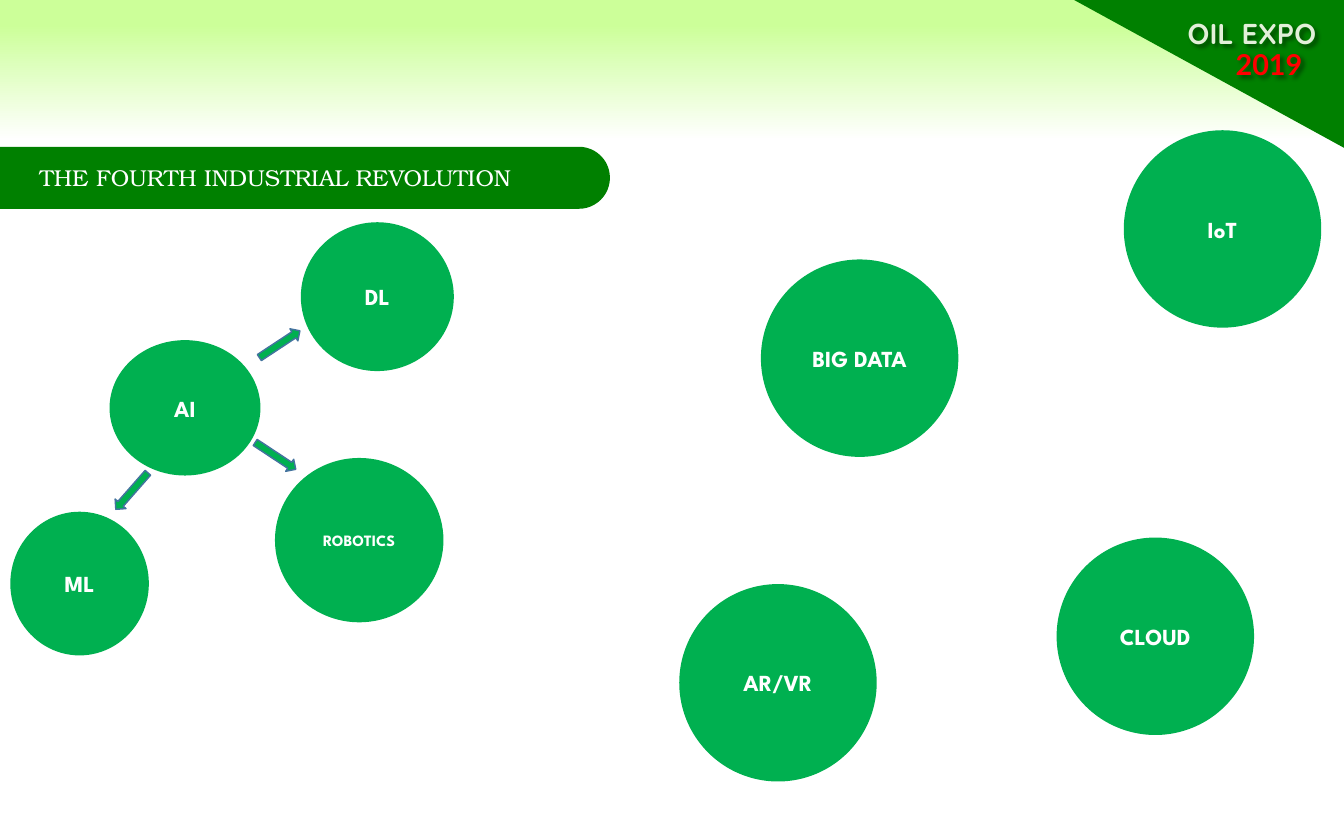
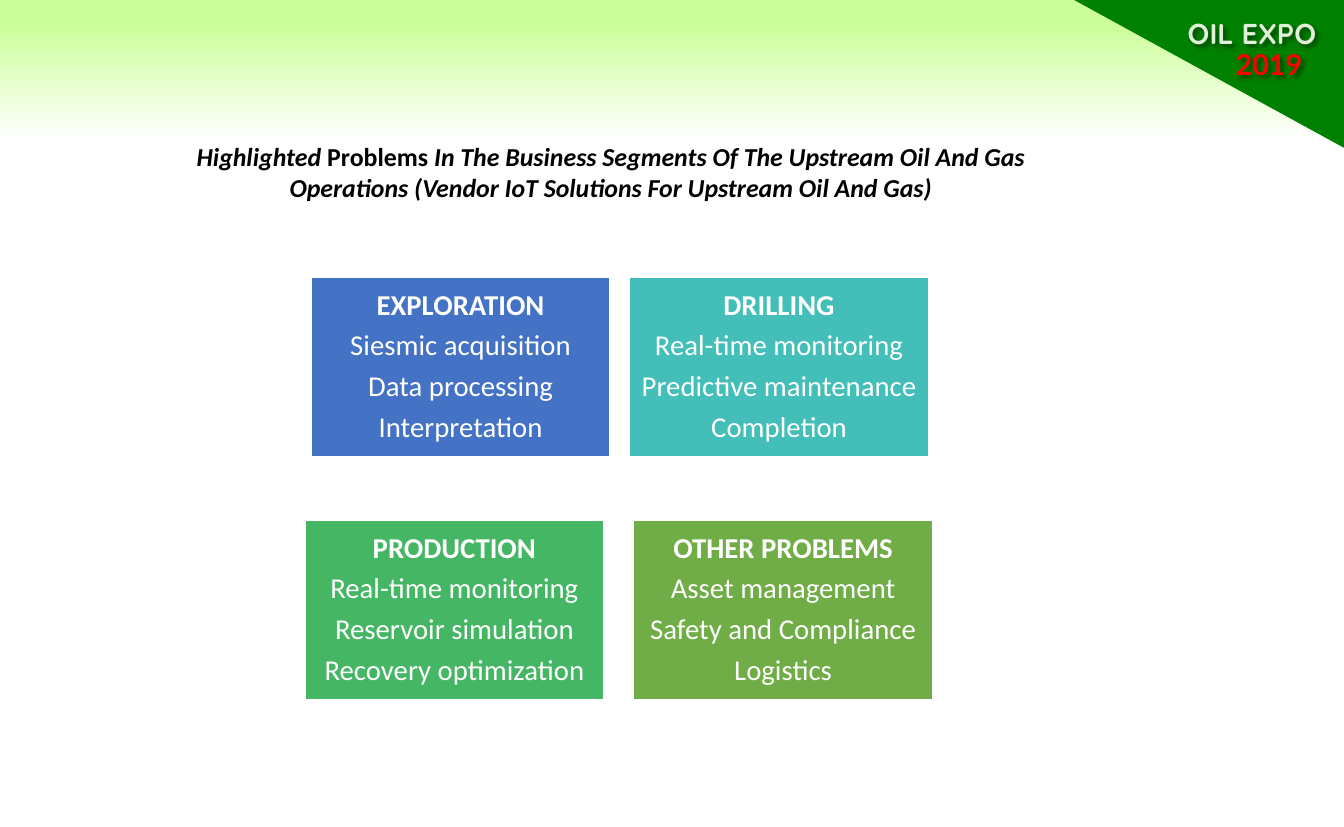
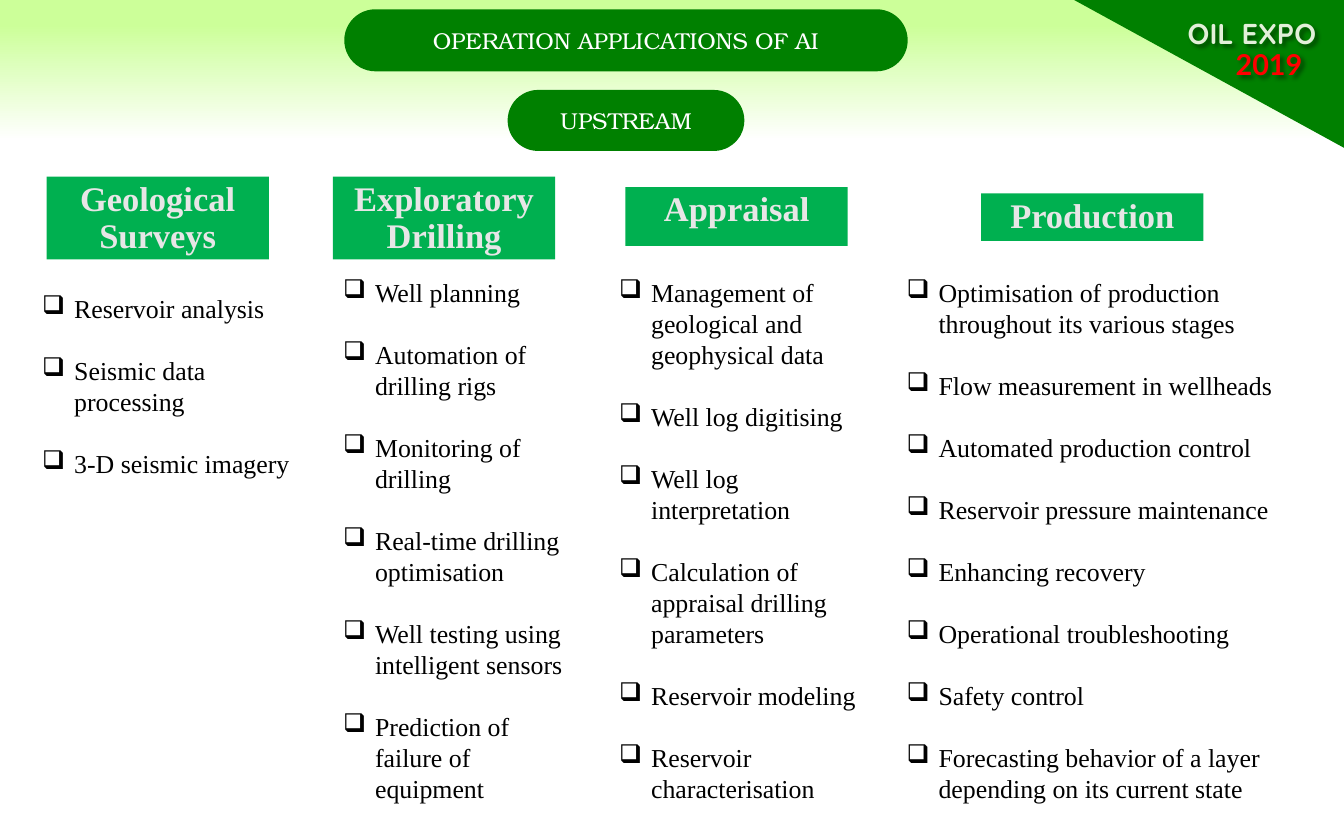
from lxml import etree
from pptx import Presentation
from pptx.dml.color import RGBColor
from pptx.enum.shapes import MSO_SHAPE
from pptx.enum.text import MSO_ANCHOR, PP_ALIGN
from pptx.oxml.ns import qn
from pptx.util import Inches, Pt

OVAL = MSO_SHAPE.OVAL
PILL = MSO_SHAPE.ROUNDED_RECTANGLE
RECTANGLE = MSO_SHAPE.RECTANGLE
ARROW = MSO_SHAPE.RIGHT_ARROW
CORNER = MSO_SHAPE.RIGHT_TRIANGLE
CENTER, LEFT = PP_ALIGN.CENTER, PP_ALIGN.LEFT
TOP, MIDDLE = MSO_ANCHOR.TOP, MSO_ANCHOR.MIDDLE

WHITE = RGBColor(0xFF, 0xFF, 0xFF)
BLACK = RGBColor(0x00, 0x00, 0x00)
RED = RGBColor(0xFF, 0x00, 0x00)
LIME = RGBColor(0xCC, 0xFF, 0x99)
DARK_GREEN = RGBColor(0x00, 0x80, 0x00)
GREEN = RGBColor(0x00, 0xB0, 0x50)
PALE_GREEN = RGBColor(0xE2, 0xF0, 0xD9)
PALE_GRAY = RGBColor(0xE7, 0xE6, 0xE6)
STEEL = RGBColor(0x43, 0x73, 0x9E)
BLUE = RGBColor(0x44, 0x72, 0xC4)
TEAL = RGBColor(0x43, 0xBE, 0xB9)
EMERALD = RGBColor(0x45, 0xB6, 0x64)
OLIVE = RGBColor(0x70, 0xAD, 0x47)

SERIF = "Times New Roman"


def add_block(slide, kind, box, fill, line=None):
    block = slide.shapes.add_shape(kind, *map(Inches, box))
    block.shadow.inherit = False
    block.fill.solid()
    block.fill.fore_color.rgb = fill
    if line is None:
        block.line.fill.background()
    else:
        block.line.color.rgb = line
        block.line.width = Pt(1)
    return block


def write(shape, lines, size, font, color, bold=False, align=CENTER,
          anchor=MIDDLE, inset=None, wrap=True):
    """Fill a shape with one formatted paragraph per line and return the paragraphs."""
    frame = shape.text_frame
    frame.word_wrap = wrap
    frame.vertical_anchor = anchor
    if inset is not None:
        frame.margin_left = frame.margin_right = Inches(inset)
        frame.margin_top = frame.margin_bottom = Inches(inset)
    for index, line in enumerate(lines):
        paragraph = frame.add_paragraph() if index else frame.paragraphs[0]
        paragraph.text = line
        paragraph.alignment = align
        for run in paragraph.runs:
            run.font.size = Pt(size)
            run.font.name = font
            run.font.bold = bold
            run.font.color.rgb = color
    return frame.paragraphs


prs = Presentation()
prs.slide_width, prs.slide_height = Inches(13), Inches(8)

# Shared background, corner and event label
backdrop = prs.slide_master.background.fill
backdrop.gradient()
backdrop.gradient_angle = 270
for stop, (position, color) in zip(backdrop.gradient_stops, [(0.03, LIME), (0.17, WHITE)]):
    stop.position = position
    stop.color.rgb = color

EVENT_LABEL = [
    ("OIL EXPO", (11.35, 0.15, 1.52, 0.34), "Quicksand", PALE_GREEN, 0),
    ("2019", (11.44, 0.4, 1.67, 0.44), "Lato", RED, None),
]
slides = [prs.slides.add_slide(prs.slide_layouts[6]) for _ in range(3)]
for slide in slides:
    add_block(slide, CORNER, (10.39, 0, 2.61, 1.43), DARK_GREEN).rotation = 180
    for text, box, font, color, inset in EVENT_LABEL:
        label = slide.shapes.add_textbox(*map(Inches, box))
        write(label, [text], 20, font, color, True, anchor=TOP, inset=inset)
        effects = etree.SubElement(label._element.spPr, qn("a:effectLst"))
        shadow = etree.SubElement(effects, qn("a:outerShdw"), blurRad="38100",
                                  dist="38100", dir="2700000")
        shade = etree.SubElement(shadow, qn("a:srgbClr"), val="000000")
        etree.SubElement(shade, qn("a:alpha"), val="43000")

revolution, problems, applications = slides

# Title bands
BANDS = [
    (revolution, "THE FOURTH INDUSTRIAL REVOLUTION", (-0.57, 1.42, 6.47, 0.6)),
    (applications, "UPSTREAM", (4.91, 0.87, 2.29, 0.59)),
    (applications, "OPERATION APPLICATIONS OF AI", (3.33, 0.09, 5.45, 0.6)),
]
for slide, text, box in BANDS:
    band = add_block(slide, PILL, box, DARK_GREEN)
    band.adjustments[0] = 0.5
    write(band, [text], 16, "TeX Gyre Bonum", WHITE, inset=0.1, wrap=False)

# Slide 1: technologies
TECHNOLOGIES = [
    ("IoT", 10.87, 1.26, 1.91, 1.91, 16),
    ("BIG DATA", 7.36, 2.51, 1.91, 1.91, 16),
    ("AI", 1.06, 3.29, 1.46, 1.31, 16),
    ("CLOUD", 10.22, 5.2, 1.91, 1.91, 16),
    ("AR/VR", 6.57, 5.65, 1.91, 1.91, 16),
    ("ML", 0.1, 4.95, 1.34, 1.39, 16),
    ("DL", 2.91, 2.15, 1.48, 1.44, 16),
    ("ROBOTICS", 2.66, 4.43, 1.63, 1.59, 11),
]
for text, *box, size in TECHNOLOGIES:
    circle = add_block(revolution, OVAL, box, GREEN)
    write(circle, [text], size, "League Spartan", WHITE, True, inset=0.13)

for left, top, angle in [(2.43, 4.34, 33.5), (1.04, 4.68, 131.3), (2.47, 3.26, 326.6)]:
    add_block(revolution, ARROW, (left, top, 0.47, 0.14), GREEN, STEEL).rotation = angle

# Slide 2: problems by business segment
SEGMENTS = [
    (3.01, 2.68, BLUE, ["EXPLORATION", "Siesmic acquisition", "Data processing",
                        "Interpretation"]),
    (6.09, 2.68, TEAL, ["DRILLING", "Real-time monitoring", "Predictive maintenance",
                        "Completion"]),
    (2.95, 5.03, EMERALD, ["PRODUCTION", "Real-time monitoring", "Reservoir simulation",
                           "Recovery optimization"]),
    (6.13, 5.03, OLIVE, ["OTHER PROBLEMS", "Asset management", "Safety and Compliance",
                         "Logistics"]),
]
for left, top, color, lines in SEGMENTS:
    segment = add_block(problems, RECTANGLE, (left, top, 2.89, 1.74), color, WHITE)
    paragraphs = write(segment, lines, 20, "Calibri", WHITE, inset=0.08)
    paragraphs[0].runs[0].font.bold = True
    for paragraph in paragraphs:
        paragraph.line_spacing = 0.9
        paragraph.space_after = Pt(6.8)

heading = problems.shapes.add_textbox(Inches(1.58), Inches(1.31), Inches(8.66), Inches(0.71))
heading.text_frame.word_wrap = True
sentence = heading.text_frame.paragraphs[0]
sentence.alignment = CENTER
for text, italic in [
    ("Highlighted ", True),
    ("Problems", False),
    (" In The Business Segments Of The Upstream Oil And Gas Operations "
     "(Vendor IoT Solutions For Upstream Oil And Gas)", True),
]:
    run = sentence.add_run()
    run.text = text
    run.font.size = Pt(18)
    run.font.name = "Calibri"
    run.font.bold = True
    run.font.italic = italic
    run.font.color.rgb = BLACK

# Slide 3: applications by stage
STAGES = [
    ("Geological Surveys", (0.45, 1.71, 2.15, 0.8), (0.31, 2.78, 2.82, 2.22), [
        "Reservoir analysis", "Seismic data\nprocessing", "3-D seismic imagery"]),
    ("Exploratory Drilling", (3.22, 1.71, 2.15, 0.8), (3.22, 2.63, 3.04, 5.3), [
        "Well planning", "Automation of\ndrilling rigs", "Monitoring of\ndrilling",
        "Real-time drilling\noptimisation", "Well testing using\nintelligent sensors",
        "Prediction of\nfailure of\nequipment"]),
    ("Appraisal", (6.05, 1.81, 2.15, 0.57), (5.89, 2.63, 2.93, 5.3), [
        "Management of\ngeological and\ngeophysical data", "Well log digitising",
        "Well log\ninterpretation", "Calculation of\nappraisal drilling\nparameters",
        "Reservoir modeling", "Reservoir\ncharacterisation"]),
    ("Production", (9.49, 1.87, 2.15, 0.46), (8.67, 2.63, 4.19, 5.3), [
        "Optimisation of production\nthroughout its various stages",
        "Flow measurement in wellheads", "Automated production control",
        "Reservoir pressure maintenance", "Enhancing recovery",
        "Operational troubleshooting", "Safety control",
        "Forecasting behavior of a layer depending on its current state"]),
]
for stage, header_box, list_box, items in STAGES:
    header = add_block(applications, RECTANGLE, header_box, GREEN)
    write(header, [stage], 24, SERIF, PALE_GRAY, True, anchor=TOP)[0].line_spacing = 0.9

    uses = applications.shapes.add_textbox(*map(Inches, list_box))
    for paragraph in write(uses, items, 18, SERIF, BLACK, align=LEFT, anchor=TOP):
        paragraph.space_after = Pt(21.6)
        properties = paragraph._p.get_or_add_pPr()
        properties.set("marL", str(Inches(0.31)))
        properties.set("indent", str(-Inches(0.31)))
        etree.SubElement(properties, qn("a:buChar"), char="❑")

prs.save("out.pptx")
